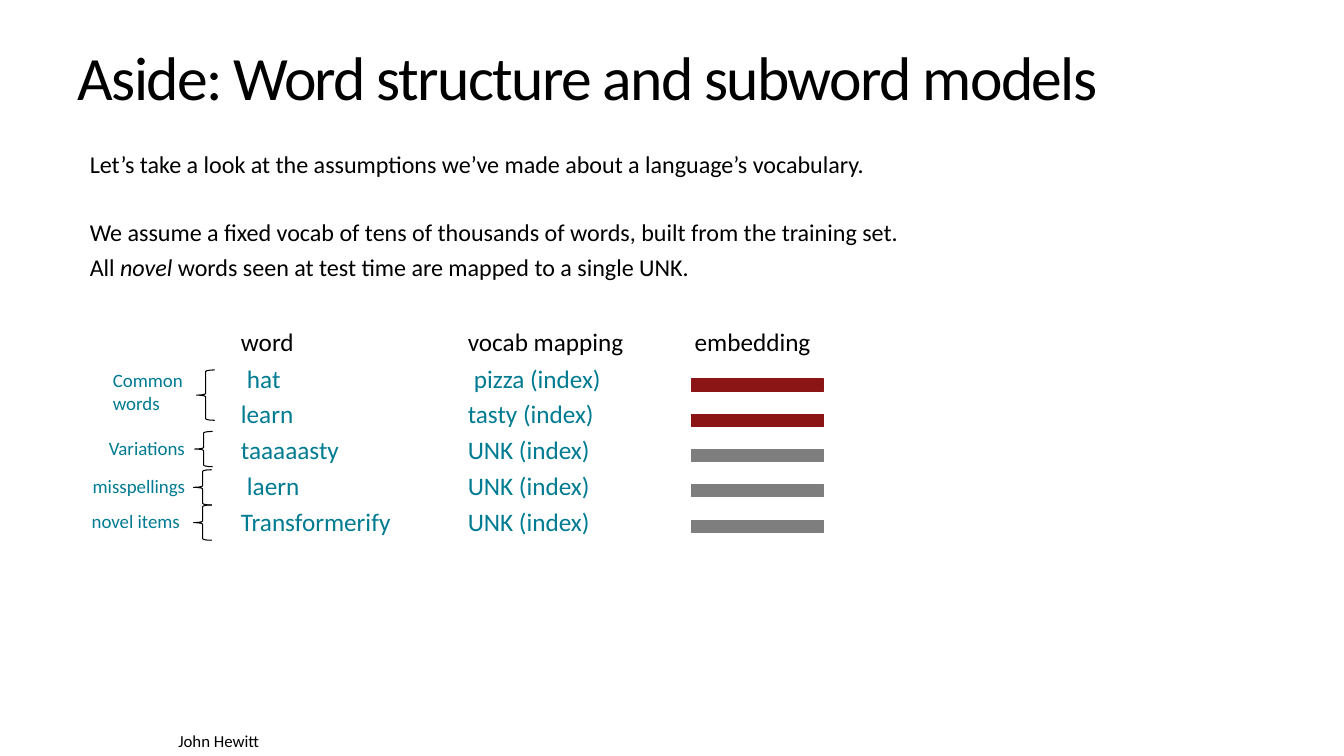
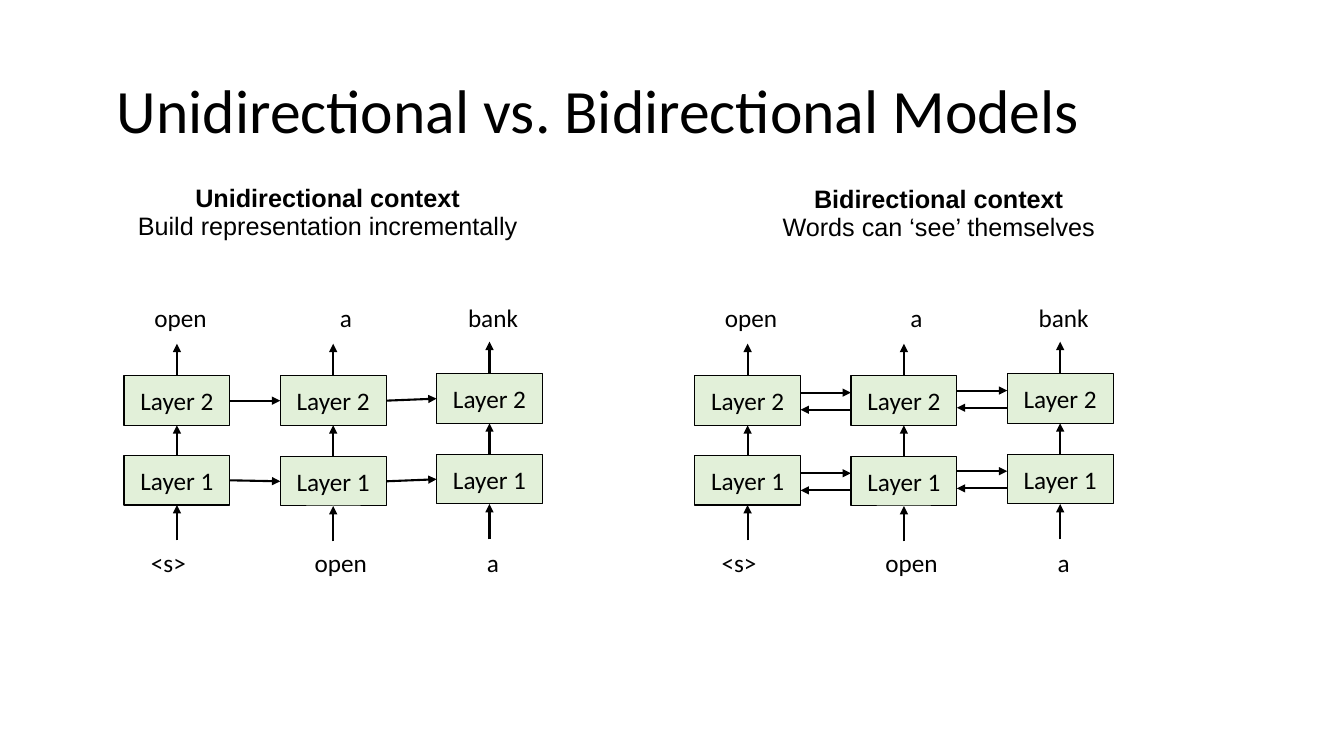
from dataclasses import dataclass

from lxml.etree import SubElement
from pptx import Presentation
from pptx.dml.color import RGBColor
from pptx.enum.shapes import MSO_CONNECTOR, MSO_SHAPE
from pptx.enum.text import MSO_ANCHOR, MSO_AUTO_SIZE, PP_ALIGN
from pptx.oxml.ns import qn
from pptx.util import Inches, Pt


@dataclass(frozen=True)
class Theme:
    ink: str = "000000"
    teal: str = "007B92"
    known: str = "8B1515"
    unknown: str = "7E7E7E"
    layer: str = "E2F0D9"
    font: str = "Calibri"
    heading_font: str = "Arial"
    title: float = 44
    text: float = 18
    intro: float = 17.2
    label: float = 13.5
    footer: float = 12
    thin: float = 0.75
    arrow: float = 1.5


THEME = Theme()
TOP, LEFT, BOTTOM, RIGHT = range(4)  # connection sites of a rectangle

# Slide 1: a paragraph is a string or a list of (text, font format) spans
SUBWORD_TITLE = "Aside: Word structure and subword models"
INTRO = [
    "Let’s take a look at the assumptions we’ve made about a language’s vocabulary.",
    "We assume a fixed vocab of tens of thousands of words, built from the training set.",
    [("All ", {}), ("novel", {"italic": True}),
     (" words seen at test time are mapped to a single UNK.", {})],
]
INTRO_GAPS = (0, 28, 4.7)
COLUMNS = [  # left, header, entries
    (2.39, "word", ["hat", "learn", "taaaaasty", "laern", "Transformerify"]),
    (4.64, "vocab mapping",
     ["pizza (index)", "tasty (index)"] + ["UNK (index)"] * 3),
    (6.89, "embedding", []),
]
INDENTED = {"hat", "laern", "pizza (index)"}
EMBEDDINGS = [THEME.known] * 2 + [THEME.unknown] * 3
GROUPS = [  # label lines, label left, label top, brace left, brace top, brace height
    (["Common", "words"], 1.12, 3.66, 1.95, 3.67, 0.5),
    (["Variations"], 1.08, 4.33, 1.93, 4.28, 0.35),
    (["misspellings"], 0.92, 4.71, 1.92, 4.66, 0.35),
    (["novel items"], 0.91, 5.06, 1.92, 5.01, 0.35),
]
AUTHOR = "John Hewitt"

# Slide 2: label centres are measured from the left of a diagram
MODELS_TITLE = "Unidirectional vs. Bidirectional Models"
MODELS = [  # heading, explanation, heading box, diagram left, both ways
    ("Unidirectional context", "Build representation incrementally",
     (0.61, 1.79, 5.28, 0.98), 1.23, False),
    ("Bidirectional context", "Words can ‘see’ themselves",
     (6.67, 1.8, 5.28, 0.98), 6.89, True),
]
OUTPUTS = [("open", 0.56), ("a", 2.2), ("bank", 3.66)]
INPUTS = [("<s>", 0.44), ("open", 2.15), ("a", 3.66)]
LAYERS = {"Layer 1": (4.52, 4.53, 4.51), "Layer 2": (3.73, 3.73, 3.71)}
LAYER_WIDTH, LAYER_HEIGHT, LAYER_PITCH = 1.05, 0.49, 1.55


def color(value):
    return RGBColor.from_string(value)


def write(frame, paragraphs, size=THEME.text, ink=THEME.ink, font=THEME.font,
          align=PP_ALIGN.LEFT, anchor=MSO_ANCHOR.TOP, line=1.0, gaps=(),
          indents=(), tracking=0, inset=None, bold=False):
    """Fill a text frame; gaps and indents hold one value per paragraph."""
    frame.word_wrap = True
    frame.auto_size = MSO_AUTO_SIZE.NONE
    frame.vertical_anchor = anchor
    if inset is not None:
        frame.margin_left = frame.margin_right = Inches(inset)
        frame.margin_top = frame.margin_bottom = Inches(inset)
    for index, spans in enumerate(paragraphs):
        para = frame.add_paragraph() if index else frame.paragraphs[0]
        properties = para._p.get_or_add_pPr()
        indent = indents[index] if indents else 0
        properties.set("marL", str(Inches(indent)))
        properties.set("indent", "0")
        SubElement(properties, qn("a:buNone"))
        para.alignment = align
        para.line_spacing = line
        para.space_before = Pt(gaps[index] if gaps else 0)
        para.space_after = Pt(0)
        if isinstance(spans, str):
            spans = [(spans, {})]
        for words, style in spans:
            span = para.add_run()
            span.text = words
            span.font.name, span.font.size = font, Pt(size)
            span.font.bold = style.get("bold", bold)
            span.font.italic = style.get("italic", False)
            span.font.color.rgb = color(ink)
            if tracking:
                span._r.get_or_add_rPr().set("spc", str(int(tracking * 100)))


def place(shape, box):
    shape.left, shape.top, shape.width, shape.height = map(Inches, box)
    return shape


def add_text(page, box, paragraphs, **style):
    write(page.shapes.add_textbox(*map(Inches, box)).text_frame, paragraphs, **style)


def add_shape(page, kind, box, fill=None, line=THEME.ink):
    shape = page.shapes.add_shape(kind, *map(Inches, box))
    shape.shadow.inherit = False
    if fill:
        shape.fill.solid()
        shape.fill.fore_color.rgb = color(fill)
    else:
        shape.fill.background()
    shape.line.color.rgb = color(line)
    shape.line.width = Pt(THEME.thin)
    return shape


def add_arrow(page, start, end, begin=None, finish=None):
    """Draw an arrow; begin and finish are (shape, site) pairs to join."""
    arrow = page.shapes.add_connector(
        MSO_CONNECTOR.STRAIGHT, *map(Inches, (*start, *end)))
    if begin:
        arrow.begin_connect(*begin)
    if finish:
        arrow.end_connect(*finish)
    arrow.line.color.rgb = color(THEME.ink)
    arrow.line.width = Pt(THEME.arrow)
    SubElement(arrow.line._get_or_add_ln(), qn("a:tailEnd"), type="triangle")
    SubElement(arrow._element.spPr, qn("a:effectLst"))


def add_page(deck, title, box, tracking=0):
    page = deck.slides.add_slide(deck.slide_layouts[1])
    write(place(page.shapes.title, box).text_frame, [title], size=THEME.title,
          anchor=MSO_ANCHOR.MIDDLE, line=0.9, tracking=tracking)
    return page


def build_subwords(deck):
    page = add_page(deck, SUBWORD_TITLE, (0.67, 0.14, 10.55, 1.32), tracking=-1.2)
    intro = place(page.placeholders[1], (0.89, 1.48, 9, 1.4))
    write(intro.text_frame, INTRO, size=THEME.intro, gaps=INTRO_GAPS, inset=0)

    header_top, row_pitch = 3.24, 0.36
    for left, header, entries in COLUMNS:
        add_text(page, (left, header_top, 2, 0.31), [header], inset=0)
        if entries:
            add_text(page, (left, header_top + row_pitch, 2, 1.8), entries,
                     ink=THEME.teal, inset=0, gaps=[0] + [4] * (len(entries) - 1),
                     indents=[0.06 if entry in INDENTED else 0 for entry in entries])
    for row, fill in enumerate(EMBEDDINGS):
        add_shape(page, MSO_SHAPE.RECTANGLE, (6.86, 3.76 + 0.35 * row, 1.31, 0.12),
                  fill=fill, line=fill)
    for lines, left, top, brace_left, brace_top, brace_height in GROUPS:
        add_text(page, (left, top, 1, 0.23 * len(lines)), lines,
                 size=THEME.label, ink=THEME.teal, inset=0)
        add_shape(page, MSO_SHAPE.LEFT_BRACE,
                  (brace_left, brace_top, 0.18, brace_height))
    add_text(page, (1.67, 7.2, 1.1, 0.3), [AUTHOR], size=THEME.footer)


def add_layer(page, name, left, tops):
    boxes = []
    for column, top in enumerate(tops):
        box = add_shape(
            page, MSO_SHAPE.RECTANGLE,
            (left + column * LAYER_PITCH, top, LAYER_WIDTH, LAYER_HEIGHT),
            fill=THEME.layer)
        write(box.text_frame, [name], align=PP_ALIGN.CENTER, anchor=MSO_ANCHOR.MIDDLE)
        boxes.append(box)
    return boxes


def link_layer(page, boxes, left, tops, both_ways):
    for column in range(len(boxes) - 1):
        start = left + column * LAYER_PITCH + LAYER_WIDTH
        end = left + (column + 1) * LAYER_PITCH
        middle = tops[column + 1] + LAYER_HEIGHT / 2
        if both_ways:
            ahead, back = middle - 0.08, middle + 0.09
            add_arrow(page, (start, ahead), (end, ahead))
            add_arrow(page, (end, back), (start, back))
        else:
            add_arrow(page, (start, middle), (end, middle),
                      (boxes[column], RIGHT), (boxes[column + 1], LEFT))


def add_diagram(page, left, both_ways):
    layers = []
    for name, tops in LAYERS.items():
        boxes = add_layer(page, name, left, tops)
        link_layer(page, boxes, left, tops, both_ways)
        layers.append(boxes)
    lower_tops, upper_tops = LAYERS.values()
    for column, (lower, upper) in enumerate(zip(*layers)):
        center = left + column * LAYER_PITCH + LAYER_WIDTH / 2
        bottom = lower_tops[column] + LAYER_HEIGHT
        top = upper_tops[column]
        add_arrow(page, (center, bottom + 0.35), (center, bottom),
                  finish=(lower, BOTTOM))
        add_arrow(page, (center, lower_tops[column]), (center, top + LAYER_HEIGHT),
                  (lower, TOP), (upper, BOTTOM))
        add_arrow(page, (center, top), (center, top - 0.32), begin=(upper, TOP))
    for labels, label_top in ((OUTPUTS, 2.95), (INPUTS, 5.38)):
        for word, center in labels:
            add_text(page, (left + center - 0.5, label_top, 1, 0.37), [word],
                     align=PP_ALIGN.CENTER)


def build_models(deck):
    page = add_page(deck, MODELS_TITLE, (1.06, 0.4, 11.36, 1.45))
    body = page.placeholders[1]
    for heading, explanation, box, left, both_ways in MODELS:
        lines = [[(heading, {"bold": True})], explanation]
        style = dict(font=THEME.heading_font, align=PP_ALIGN.CENTER,
                     line=0.9, gaps=(0, 1))
        if body:
            write(place(body, box).text_frame, lines, **style)
            body = None
        else:
            add_text(page, box, lines, **style)
        add_diagram(page, left, both_ways)


def main():
    deck = Presentation()
    deck.slide_width, deck.slide_height = Inches(13.33), Inches(7.5)
    build_subwords(deck)
    build_models(deck)
    deck.save("out.pptx")


if __name__ == "__main__":
    main()
